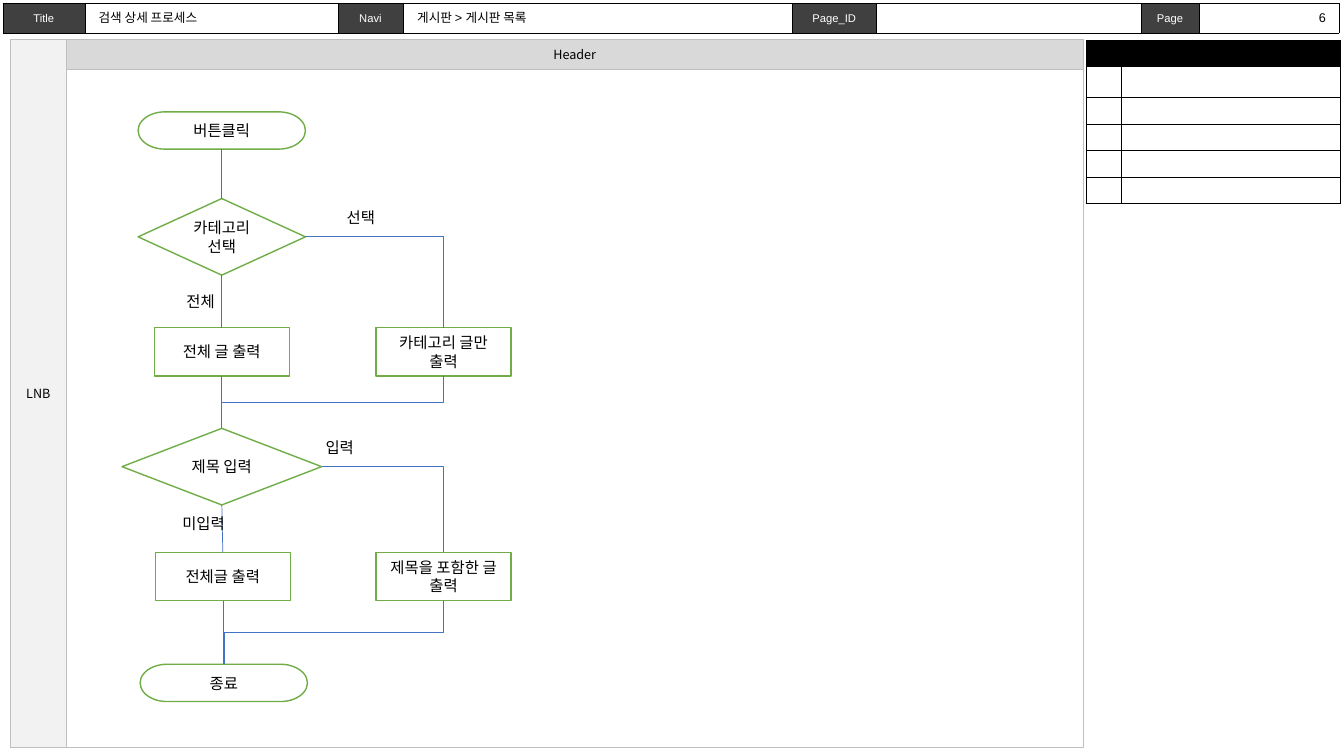
"""Build the board-search process flowchart slide."""
from dataclasses import dataclass
from typing import NamedTuple, Optional

from lxml.etree import SubElement
from pptx import Presentation
from pptx.dml.color import RGBColor
from pptx.enum.shapes import MSO_CONNECTOR as CONN, MSO_SHAPE as SHAPE
from pptx.enum.text import MSO_ANCHOR as ANCHOR, MSO_AUTO_SIZE as AUTO, PP_ALIGN as ALIGN
from pptx.oxml.ns import qn
from pptx.util import Emu, Pt

PX = 9144
TOP, BOTTOM, RIGHT = 0, 2, 3


@dataclass(frozen=True)
class Theme:
    """Colours, fonts and type sizes of the slide."""
    black: str = "000000"
    white: str = "FFFFFF"
    label: str = "404040"
    frame: str = "BFBFBF"
    header: str = "D9D9D9"
    side: str = "F2F2F2"
    node: str = "70AD47"
    link: str = "4472C4"
    latin: str = "Arial"
    korean: str = "Noto Sans CJK KR"
    small: int = 8
    body: int = 9
    flow: int = 11
    hairline: float = 0.25
    link_width: float = 0.5
    node_width: float = 1


T = Theme()


class Box(NamedTuple):
    """Left, top, width and height in px."""
    x: int
    y: int
    w: int
    h: int


class Panel(NamedTuple):
    """A framed area of the page template."""
    box: Box
    fill: Optional[str]
    text: str


class Node(NamedTuple):
    """A step of the flowchart."""
    kind: SHAPE
    box: Box
    text: str


class Link(NamedTuple):
    """A line from one side of a node to the top of another."""
    start: str
    side: int
    end: str
    straight: bool = False


class Label(NamedTuple):
    """A free line of text."""
    box: Box
    text: str
    size: int = T.flow
    font: str = T.korean
    align: ALIGN = ALIGN.LEFT
    anchor: ANCHOR = ANCHOR.TOP
    wrap: bool = False
    spacing: float = 1.0


PANELS = [
    Panel(Box(10, 39, 1064, 702), None, ""),
    Panel(Box(66, 39, 1008, 30), T.header, "Header"),
    Panel(Box(10, 39, 56, 702), T.side, "LNB"),
]
END, STEP, CHOICE = SHAPE.FLOWCHART_TERMINATOR, SHAPE.FLOWCHART_PROCESS, SHAPE.FLOWCHART_DECISION
NODES = {
    "click": Node(END, Box(137, 111, 166, 37), "버튼클릭"),
    "category": Node(CHOICE, Box(137, 197, 166, 76), "카테고리 선택"),
    "all": Node(STEP, Box(153, 325, 134, 48), "전체 글 출력"),
    "by_category": Node(STEP, Box(373, 325, 134, 48), "카테고리 글만 출력"),
    "title": Node(CHOICE, Box(121, 425, 198, 76), "제목 입력"),
    "untitled": Node(STEP, Box(154, 548, 134, 48), "전체글 출력"),
    "by_title": Node(STEP, Box(373, 548, 134, 48), "제목을 포함한 글 출력"),
    "finish": Node(END, Box(139, 659, 166, 37), "종료"),
}
LINKS = [
    Link("click", BOTTOM, "category", True),
    Link("category", BOTTOM, "all", True),
    Link("category", RIGHT, "by_category"),
    Link("all", BOTTOM, "title", True),
    Link("by_category", BOTTOM, "title"),
    Link("title", BOTTOM, "untitled", True),
    Link("title", RIGHT, "by_title"),
    Link("untitled", BOTTOM, "finish"),
    Link("by_title", BOTTOM, "finish"),
]
LABELS = [
    Label(Box(1288, 5, 37, 25), "6", T.body, T.latin, ALIGN.RIGHT, ANCHOR.MIDDLE),
    Label(Box(88, 6, 134, 24), "검색 상세 프로세스", T.body, T.latin, anchor=ANCHOR.MIDDLE, spacing=0.9),
    Label(Box(404, 6, 346, 24), "게시판 > 게시판 목록", T.body, T.latin,
          anchor=ANCHOR.MIDDLE, wrap=True, spacing=0.9),
    Label(Box(175, 285, 51, 29), "전체"),
    Label(Box(334, 202, 51, 29), "선택"),
    Label(Box(171, 505, 66, 29), "미입력"),
    Label(Box(313, 430, 51, 29), "입력"),
]
INFO_COLS = [81, 251, 65, 386, 83, 263, 57, 139]
INFO_ROWS = [["Title", "", "Navi", "", "Page_ID", "", "Page", ""]]
NOTE_HEIGHTS = [26, 30, 27, 26, 27, 26]


def rgb(color: str) -> RGBColor:
    """Turn a hex string into a colour."""
    return RGBColor.from_string(color)


def emu(box: Box) -> list[Emu]:
    """Scale a box to EMU."""
    return [Emu(v * PX) for v in box]


def write(p, text: str, size: int, font: str, color: str = T.black, align: ALIGN = ALIGN.CENTER) -> None:
    """Add one styled run to a paragraph."""
    p.alignment = align
    r = p.add_run()
    r.text = text
    r.font.size, r.font.name = Pt(size), font
    r.font.color.rgb = rgb(color)
    SubElement(r.font._element, qn("a:ea"), typeface=T.korean)


def add_box(s, kind: SHAPE, box: Box, fill: Optional[str], line: str, width: float, text: str, size: int):
    """Draw an outlined shape with centred text."""
    sp = s.shapes.add_shape(kind, *emu(box))
    sp.shadow.inherit = False
    if fill:
        sp.fill.solid()
        sp.fill.fore_color.rgb = rgb(fill)
    else:
        sp.fill.background()
    sp.line.color.rgb, sp.line.width = rgb(line), Pt(width)
    if text:
        tf = sp.text_frame
        tf.word_wrap, tf.vertical_anchor = True, ANCHOR.MIDDLE
        write(tf.paragraphs[0], text, size, T.korean)
    return sp


def add_label(s, label: Label) -> None:
    """Place a text box."""
    tf = s.shapes.add_textbox(*emu(label.box)).text_frame
    tf.word_wrap, tf.auto_size = label.wrap, AUTO.SHAPE_TO_FIT_TEXT
    tf.vertical_anchor = label.anchor
    p = tf.paragraphs[0]
    p.line_spacing = label.spacing
    write(p, label.text, label.size, label.font, align=label.align)


def add_grid(s, x: int, y: int, cols: list[int], heights: list[int],
             texts: list[list[str]], fills: list[list[str]]) -> None:
    """Draw a table with thin black borders."""
    table = s.shapes.add_table(len(heights), len(cols), *emu(Box(x, y, sum(cols), sum(heights)))).table
    for col, w in zip(table.columns, cols):
        col.width = Emu(w * PX)
    for row, h, row_texts, row_fills in zip(table.rows, heights, texts, fills):
        row.height = Emu(h * PX)
        for cell, text, fill in zip(row.cells, row_texts, row_fills):
            cell.vertical_anchor = ANCHOR.MIDDLE
            cell.fill.solid()
            cell.fill.fore_color.rgb = rgb(fill)
            p = cell.text_frame.paragraphs[0]
            if text:
                write(p, text, T.small, T.latin, T.white)
            else:
                SubElement(p._p, qn("a:endParaRPr"), sz=str(T.small * 100))
            tc_pr = cell._tc.get_or_add_tcPr()
            for i, edge in enumerate(("a:lnL", "a:lnR", "a:lnT", "a:lnB")):
                ln = SubElement(tc_pr, qn(edge), w=str(Pt(T.hairline)))
                SubElement(SubElement(ln, qn("a:solidFill")), qn("a:srgbClr"), val=T.black)
                tc_pr.insert(i, ln)


def add_link(s, link: Link, shapes: dict) -> None:
    """Join two nodes with a straight or bent line."""
    a, b = NODES[link.start].box, NODES[link.end].box
    x1, y1 = (a.x + a.w, a.y + a.h // 2) if link.side == RIGHT else (a.x + a.w // 2, a.y + a.h)
    x2, y2 = b.x + b.w // 2, b.y
    turned = not link.straight and link.side == BOTTOM
    ends = [x1, y1, x2, y2]
    if turned:
        cx, cy, half_w, half_h = (x1 + x2) / 2, (y1 + y2) / 2, (y2 - y1) / 2, abs(x2 - x1) / 2
        flip = 1 if x2 < x1 else -1
        ends = [cx - flip * half_w, cy - half_h, cx + flip * half_w, cy + half_h]
    c = s.shapes.add_connector(CONN.STRAIGHT if link.straight else CONN.ELBOW, *[Emu(int(v * PX)) for v in ends])
    c.line.color.rgb, c.line.width = rgb(T.link), Pt(T.link_width)
    sp_pr = c._element.spPr
    SubElement(sp_pr, qn("a:effectLst"))
    if link.straight:
        c.begin_connect(shapes[link.start], link.side)
        c.end_connect(shapes[link.end], TOP)
    elif turned:
        sp_pr.find(qn("a:xfrm")).set("rot", str((90 if x2 < x1 else 270) * 60000))
    else:
        sp_pr.find(qn("a:prstGeom")).set("prst", "bentConnector2")


def main() -> None:
    """Assemble and save the slide."""
    prs = Presentation()
    prs.slide_width, prs.slide_height = Emu(1333 * PX), Emu(750 * PX)
    s = prs.slides.add_slide(prs.slide_layouts[6])
    add_grid(s, 3, 3, INFO_COLS, [30], INFO_ROWS, [[T.label, T.white] * 4])
    for panel in PANELS:
        add_box(s, SHAPE.RECTANGLE, panel.box, panel.fill, T.frame, T.hairline, panel.text, T.body)
    rows = len(NOTE_HEIGHTS)
    add_grid(s, 1077, 40, [35, 217], NOTE_HEIGHTS, [["", ""]] * rows,
             [[T.black] * 2] + [[T.white] * 2] * (rows - 1))
    shapes = {key: add_box(s, n.kind, n.box, T.white, T.node, T.node_width, n.text, T.flow)
              for key, n in NODES.items()}
    for link in LINKS:
        add_link(s, link, shapes)
    for label in LABELS:
        add_label(s, label)
    prs.save("out.pptx")


if __name__ == "__main__":
    main()
